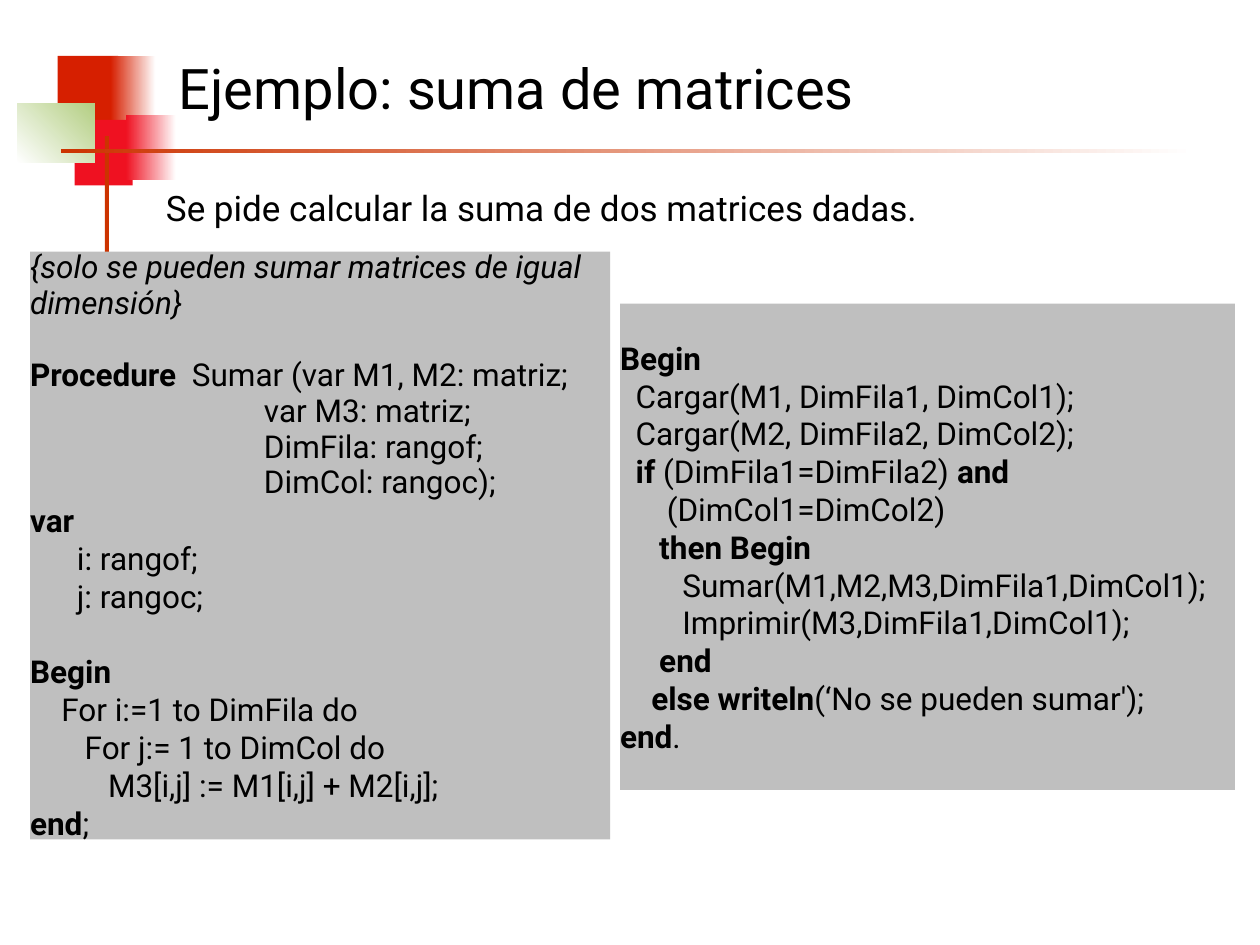
from dataclasses import dataclass

from pptx import Presentation
from pptx.dml.color import RGBColor
from pptx.enum.shapes import MSO_SHAPE
from pptx.enum.text import MSO_ANCHOR, PP_ALIGN
from pptx.util import Pt

FONT = "Roboto"
HUES = {
    "red": "D61F00",
    "rose": "EF1121",
    "green": "B3CE82",
    "rust": "CC3300",
    "gray": "BFBFBF",
    "white": "FFFFFF",
    "black": "000000",
}


@dataclass
class Block:
    """A rectangle in points; with a second hue it fades from hue to fade."""
    x: float
    y: float
    w: float
    h: float
    hue: str
    fade: str = ""
    angle: float = 0


@dataclass
class Line:
    """A line of text; asterisks enclose its bold parts."""
    text: str
    italic: bool = False
    pitch: float = 1.0
    gap: float = 0


def color(name: str) -> RGBColor:
    return RGBColor.from_string(HUES[name])


def draw(slide, block: Block):
    shape = slide.shapes.add_shape(
        MSO_SHAPE.RECTANGLE, Pt(block.x), Pt(block.y), Pt(block.w), Pt(block.h))
    shape.shadow.inherit = False
    shape.line.fill.background()
    if block.fade:
        shape.fill.gradient()
        shape.fill.gradient_angle = block.angle
        for stop, name in zip(shape.fill.gradient_stops, (block.hue, block.fade)):
            stop.color.rgb = color(name)
    else:
        shape.fill.solid()
        shape.fill.fore_color.rgb = color(block.hue)
    return shape


def write(shape, lines: list[Line], *, size: float = 18,
          anchor=MSO_ANCHOR.MIDDLE, inset: tuple[float, float] = (0, 0)) -> None:
    frame = shape.text_frame
    frame.word_wrap = True
    frame.vertical_anchor = anchor
    frame.margin_left = frame.margin_right = Pt(inset[0])
    frame.margin_top = frame.margin_bottom = Pt(inset[1])
    for row, line in enumerate(lines):
        para = frame.add_paragraph() if row else frame.paragraphs[0]
        para.alignment = PP_ALIGN.LEFT
        para.line_spacing = line.pitch
        if line.gap:
            para.space_before = Pt(line.gap)
        for part, text in enumerate(line.text.split("*")):
            if not text:
                continue
            run = para.add_run()
            run.text = text
            font = run.font
            font.name, font.size = FONT, Pt(size)
            font.bold, font.italic = part % 2 == 1, line.italic
            font.color.rgb = color("black")


def label(slide, x: float, y: float, w: float, h: float, text: str, **style) -> None:
    box = slide.shapes.add_textbox(Pt(x), Pt(y), Pt(w), Pt(h))
    write(box, [Line(text)], inset=(7.2, 3.6), **style)


DECOR = [
    Block(33, 31.9, 34.5, 37.3, "red"),
    Block(63.2, 31.9, 25.6, 37.3, "red", "white"),
    Block(42.7, 68.5, 33.1, 37.4, "rose"),
    Block(72, 65.6, 28.6, 37.5, "rose", "white"),
    Block(9.9, 59.1, 44.3, 33.9, "white", "green", 45),
    Block(59.9, 77.8, 2.4, 82.8, "rust"),
    Block(34.8, 85, 648, 2.4, "rust", "white"),
]

TIGHT = 0.95
HEAD = [
    Line("{solo se pueden sumar matrices de igual dimensión}", True, TIGHT),
    Line("*Procedure*  Sumar (var M1, M2: matriz;", pitch=TIGHT, gap=20.5),
    Line("                              var M3: matriz;", pitch=TIGHT),
    Line("                              DimFila: rangof;", pitch=TIGHT),
    Line("                              DimCol: rangoc);", pitch=TIGHT),
]
BODY = [
    Line("*var*"),
    Line("      i: rangof;"),
    Line("      j: rangoc;"),
    Line("*Begin*", gap=21.6),
    Line("    For i:=1 to DimFila do"),
    Line("       For j:= 1 to DimCol do"),
    Line("          M3[i,j] := M1[i,j] + M2[i,j];"),
    Line("*end*;"),
]
MAIN = [
    Line("*Begin*"),
    Line("  Cargar(M1, DimFila1, DimCol1);"),
    Line("  Cargar(M2, DimFila2, DimCol2);"),
    Line("  *if* (DimFila1=DimFila2) *and*"),
    Line("      (DimCol1=DimCol2)"),
    Line("*     then Begin*"),
    Line("        Sumar(M1,M2,M3,DimFila1,DimCol1);"),
    Line("        Imprimir(M3,DimFila1,DimCol1);"),
    Line("*     end*"),
    Line("    *else writeln*(‘No se pueden sumar');"),
    Line("*end*."),
]


def main() -> None:
    deck = Presentation()
    deck.slide_width, deck.slide_height = Pt(720), Pt(540)
    slide = deck.slides.add_slide(deck.slide_layouts[6])

    # Corner squares and rules
    for block in DECOR:
        draw(slide, block)

    # Main program, title, procedure and task
    write(draw(slide, Block(354.3, 173.5, 351.4, 277.9, "gray")), MAIN)
    label(slide, 95, 16.6, 588, 66.2, "Ejemplo: suma de matrices", size=32)
    write(draw(slide, Block(17.2, 143.8, 331.4, 335.9, "gray")), HEAD + BODY)
    label(slide, 87.8, 103, 561.6, 31.7,
          "Se pide calcular la suma de dos matrices dadas.",
          size=20, anchor=MSO_ANCHOR.TOP)

    deck.save("out.pptx")


if __name__ == "__main__":
    main()
